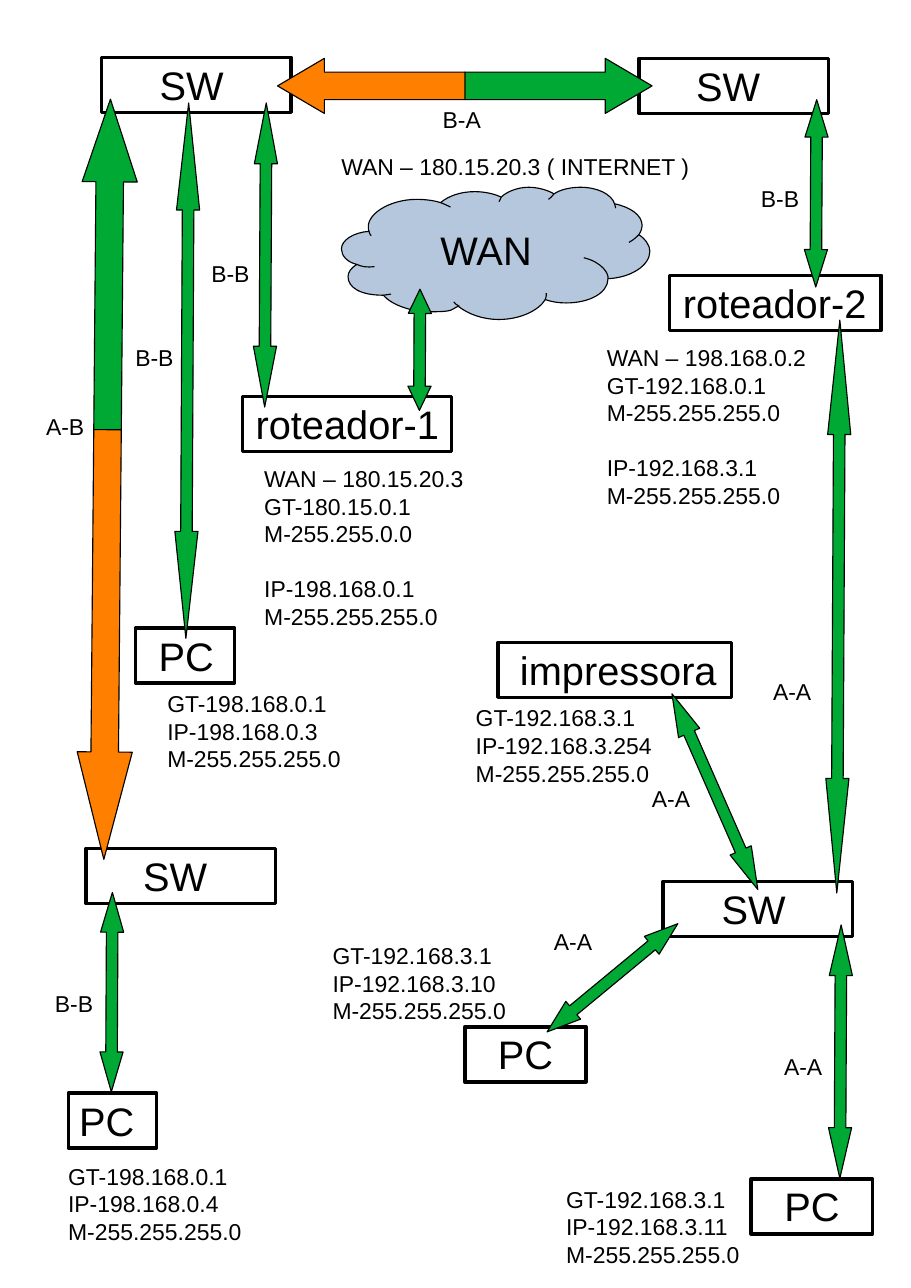
from copy import deepcopy
from lxml import etree
from pptx import Presentation
from pptx.dml.color import RGBColor
from pptx.enum.shapes import MSO_SHAPE as SHAPE
from pptx.enum.text import MSO_ANCHOR as ANCHOR, PP_ALIGN as ALIGN
from pptx.oxml.ns import qn
from pptx.util import Pt

PX = 9144
COLORS = {"ink": "000000", "green": "00A933", "orange": "FF8000", "cloud": "B4C7DC"}

prs = Presentation()
prs.slide_width, prs.slide_height = 827 * PX, 1169 * PX
slide = prs.slides.add_slide(prs.slide_layouts[6])
shapes = slide.shapes


def paint(shape, fill=None, line_width=0):
    shape.shadow.inherit = False
    if fill:
        shape.fill.solid()
        shape.fill.fore_color.rgb = RGBColor.from_string(COLORS[fill])
    else:
        shape.fill.background()
    shape.line.color.rgb = RGBColor.from_string(COLORS["ink"])
    shape.line.width = Pt(line_width)


def write(shape, groups, size, inset_left=10, inset_top=5):
    frame = shape.text_frame
    frame.word_wrap = True
    frame.vertical_anchor = ANCHOR.TOP
    frame.margin_left, frame.margin_top = inset_left * PX, inset_top * PX
    frame.margin_right = frame.margin_bottom = 0
    paragraph = None
    for group in groups:
        for index, line in enumerate(group):
            first = paragraph is None
            paragraph = frame.paragraphs[0] if first else frame.add_paragraph()
            paragraph.alignment = ALIGN.LEFT
            if index == 0 and not first:
                paragraph.space_before = Pt(18)
            run = paragraph.add_run()
            run.text = line
            run.font.size = Pt(size)
            run.font.name = "Arial"
            run.font.color.rgb = RGBColor.from_string(COLORS["ink"])


devices = [
    ("SW", 92, 52, 172, 53), ("SW", 580, 53, 172, 52), ("SW", 602, 800, 172, 53),
    ("SW", 78, 770, 172, 52), ("PC", 62, 992, 80, 10), ("PC", 123, 570, 90, 21),
    ("PC", 682, 1070, 110, 30), ("PC", 422, 932, 110, 30),
    ("roteador-1", 220, 360, 190, 12), ("roteador-2", 608, 250, 192, 12),
    ("impressora", 452, 583, 212, 20),
]
for name, left, top, width, indent in devices:
    device = shapes.add_shape(SHAPE.RECTANGLE, left * PX, top * PX, width * PX, 50 * PX)
    paint(device, line_width=2.3)
    write(device, [[name]], 26, indent, 3)

cloud_outline = [
    (335, 210),
    (330, 195), (354, 181), (378, 181), (386, 181), (394, 182), (400, 184),
    (407, 178), (418, 174), (431, 174), (440, 174), (449, 176), (455, 179),
    (460, 174), (470, 170), (480, 170), (489, 170), (498, 173), (503, 176),
    (509, 172), (518, 170), (527, 170), (542, 170), (555, 176), (558, 185),
    (572, 188), (583, 195), (583, 205), (583, 207), (582, 210), (580, 213),
    (586, 217), (590, 223), (590, 228), (590, 241), (573, 252), (552, 253),
    (552, 266), (535, 275), (514, 275), (507, 275), (501, 274), (495, 272),
    (489, 282), (472, 290), (453, 290), (438, 290), (425, 285), (416, 278),
    (409, 281), (413, 283), (391, 283), (373, 283), (356, 277), (348, 268),
    (327, 268), (316, 261), (316, 251), (316, 247), (319, 243), (324, 240),
    (315, 238), (310, 232), (310, 226), (310, 218), (321, 211), (335, 210),
]
cloud_creases = [
    [(335, 210), (335, 211), (336, 213), (337, 214)],
    [(400, 184), (403, 185), (407, 187), (409, 188)],
    [(455, 179), (454, 181), (454, 182), (453, 183)],
    [(503, 176), (501, 178), (500, 180), (498, 181)],
    [(558, 185), (558, 186), (559, 188), (559, 189)],
    [(580, 213), (578, 215), (575, 218), (571, 220)],
    [(552, 253), (553, 249), (547, 238), (530, 234)],
    [(495, 272), (496, 270), (496, 268), (496, 266)],
    [(417, 278), (414, 277), (413, 275), (412, 274)],
    [(348, 268), (350, 268), (353, 267), (355, 267)],
    [(324, 240), (328, 242), (333, 243), (340, 242)],
]
pen = shapes.build_freeform(*cloud_outline[0], scale=PX)
pen.add_line_segments(cloud_outline[1:], close=True)
for start, *controls in cloud_creases:
    pen.move_to(*start)
    pen.add_line_segments(controls, close=False)
cloud = pen.convert_to_shape()
paint(cloud, "cloud")

outline_path = next(cloud._element.iter(qn("a:path")))
path_list = outline_path.getparent()
commands = list(outline_path)
for command in commands:
    outline_path.remove(command)
blank_path = deepcopy(outline_path)
current, controls = outline_path, []
for command in commands:
    if command.tag == qn("a:lnTo"):
        controls.append(command[0])
        if len(controls) == 3:
            etree.SubElement(current, qn("a:cubicBezTo")).extend(controls)
            controls = []
        continue
    if command.tag == qn("a:moveTo") and len(current):
        current = deepcopy(blank_path)
        current.set("fill", "none")
        path_list.append(current)
    current.append(command)

BOTH, RIGHT, LEFT = SHAPE.LEFT_RIGHT_ARROW, SHAPE.RIGHT_ARROW, SHAPE.LEFT_ARROW
cables = [
    (RIGHT, "green", 422, 53, 170, 0), (LEFT, "orange", 252, 53, 170, 0),
    (RIGHT, "green", -51, 215, 300, 270.5), (LEFT, "orange", -99, 560, 390, 270.5),
    (BOTH, "green", 501, 540, 520, 90.3), (BOTH, "green", 648, 944, 230, 90.3),
    (BOTH, "green", 479, 877, 154, 140.4), (BOTH, "green", 552, 708, 194, 246.3),
    (BOTH, "green", 656, 165, 170, 90.3), (BOTH, "green", 11, 890, 181, 90.3),
    (BOTH, "green", 326, 307, 110, 90.3), (BOTH, "green", 103, 221, 276, 90.3),
    (BOTH, "green", -73, 326, 486, 90.3),
]
for kind, color, left, top, length, angle in cables:
    thickness, head_share = (21, 5) if kind == BOTH else (50, 4)
    cable = shapes.add_shape(kind, left * PX, top * PX, length * PX, thickness * PX)
    cable.adjustments[0] = 0.5
    cable.adjustments[1] = length / head_share / thickness
    cable.rotation = angle
    paint(cable, color)

cable_labels = [
    ("B-A", 392, 91), ("B-B", 681, 163), ("A-B", 32, 370), ("B-B", 113, 307),
    ("B-B", 182, 231), ("A-A", 692, 610), ("A-A", 582, 707), ("A-A", 493, 837),
    ("A-A", 702, 950), ("B-B", 40, 893),
]
for label, left, top in cable_labels:
    write(shapes.add_textbox(left * PX, top * PX, 70 * PX, 33 * PX), [[label]], 15)

MASK = "M-255.255.255.0"
addresses = [
    (541, 307, 149, [["WAN – 198.168.0.2", "GT-192.168.0.1", MASK], ["IP-192.168.3.1", MASK]]),
    (230, 417, 149, [["WAN – 180.15.20.3", "GT-180.15.0.1", "M-255.255.0.0"],
                     ["IP-198.168.0.1", MASK]]),
    (422, 634, 79, [["GT-192.168.3.1", "IP-192.168.3.254", MASK]]),
    (504, 1071, 79, [["GT-192.168.3.1", "IP-192.168.3.11", MASK]]),
    (292, 850, 79, [["GT-192.168.3.1", "IP-192.168.3.10", MASK]]),
    (142, 621, 79, [["GT-198.168.0.1", "IP-198.168.0.3", MASK]]),
    (52, 1050, 79, [["GT-198.168.0.1", "IP-198.168.0.4", MASK]]),
]
for left, top, height, groups in addresses:
    write(shapes.add_textbox(left * PX, top * PX, 208 * PX, height * PX), groups, 15)

write(shapes.add_textbox(300 * PX, 134 * PX, 360 * PX, 33 * PX),
      [["WAN – 180.15.20.3 ( INTERNET )"]], 15)
write(shapes.add_textbox(390 * PX, 200 * PX, 130 * PX, 60 * PX), [["WAN"]], 26)

prs.save("out.pptx")
